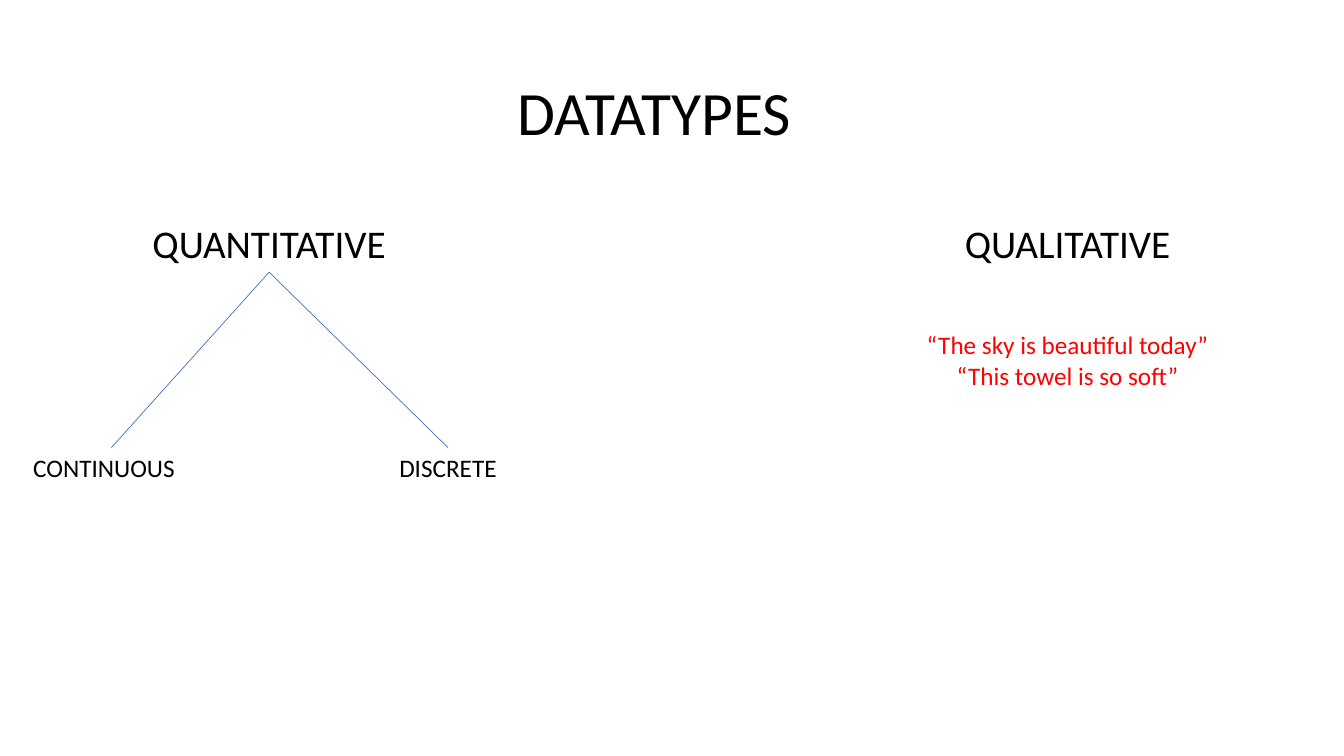
import dataclasses

import pptx
import pptx.dml.color
import pptx.enum.shapes
import pptx.enum.text
import pptx.oxml
import pptx.util

Pt = pptx.util.Pt
RGB = pptx.dml.color.RGBColor
ALIGN = pptx.enum.text.PP_ALIGN
ANCHOR = pptx.enum.text.MSO_ANCHOR


@dataclasses.dataclass(frozen=True)
class Theme:
    font: str = "Calibri"
    ink: RGB = RGB(0x00, 0x00, 0x00)
    quote: RGB = RGB(0xFF, 0x00, 0x00)
    branch: RGB = RGB(0x44, 0x72, 0xC4)
    title_size: float = 44
    heading_size: float = 28
    body_size: float = 18
    branch_width: float = 0.5


@dataclasses.dataclass(frozen=True)
class Box:
    """A rectangle in points."""
    left: float
    top: float
    width: float
    height: float

    def inner(self, dx, dy, width, height):
        return Box(self.left + dx, self.top + dy, width, height)

    @property
    def mid(self):
        return self.left + self.width / 2

    @property
    def bottom(self):
        return self.top + self.height


THEME = Theme()
HEADING_HEIGHT = 41


def set_all(target, values):
    for name, value in values.items():
        setattr(target, name, value)


def add_text(slide, box, lines, size, color=THEME.ink, align=ALIGN.CENTER,
             anchor=ANCHOR.TOP, spacing=1.0):
    sp = slide.shapes.add_textbox(Pt(box.left), Pt(box.top), Pt(box.width), Pt(box.height))
    tf = sp.text_frame
    set_all(tf, {"word_wrap": True, "vertical_anchor": anchor})
    for i, line in enumerate(lines):
        p = tf.add_paragraph() if i else tf.paragraphs[0]
        set_all(p, {"alignment": align, "line_spacing": spacing})
        r = p.add_run()
        r.text = line
        set_all(r.font, {"name": THEME.font, "size": Pt(size)})
        r.font.color.rgb = color


def add_branch(slide, parent, child):
    """Join the bottom centre of parent to the top centre of child."""
    line = slide.shapes.add_connector(
        pptx.enum.shapes.MSO_CONNECTOR.STRAIGHT,
        Pt(parent.mid), Pt(parent.bottom), Pt(child.mid), Pt(child.top))
    line.line.color.rgb = THEME.branch
    line.line.width = Pt(THEME.branch_width)
    effects = pptx.oxml.parse_xml(
        '<a:effectLst xmlns:a="http://schemas.openxmlformats.org/drawingml/2006/main"/>')
    line._element.spPr.append(effects)


def add_title(slide, box):
    add_text(slide, box, ["DATATYPES"], THEME.title_size, anchor=ANCHOR.MIDDLE, spacing=0.9)


def add_quantitative(slide, box):
    heading = box.inner(76.3, 0, 198.7, HEADING_HEIGHT)
    add_text(slide, heading, ["QUANTITATIVE"], THEME.heading_size)
    child_height = 29
    child_dy = box.height - child_height
    children = [("CONTINUOUS", 0, 126, ALIGN.LEFT),
                ("DISCRETE", box.width - 118.8, 118.8, ALIGN.CENTER)]
    for label, dx, width, align in children:
        child = box.inner(dx, child_dy, width, child_height)
        add_branch(slide, heading, child)
        add_text(slide, child, [label], THEME.body_size, align=align)


def add_qualitative(slide, box):
    add_text(slide, box.inner(0, 0, box.width, HEADING_HEIGHT), ["QUALITATIVE"],
             THEME.heading_size)
    quotes = ["“The sky is beautiful today”", "“This towel is so soft”"]
    add_text(slide, box.inner(0, 78.5, box.width, 51), quotes, THEME.body_size, THEME.quote)


def main():
    prs = pptx.Presentation()
    set_all(prs, {"slide_width": Pt(960), "slide_height": Pt(540)})
    slide = prs.slides.add_slide(prs.slide_layouts[6])
    add_title(slide, Box(53.3, 30.2, 828, 104.4))
    add_quantitative(slide, Box(16.6, 153.4, 362.8, 195.3))
    add_qualitative(slide, Box(597.6, 153.4, 329.8, 129.5))
    prs.save("out.pptx")


if __name__ == "__main__":
    main()
